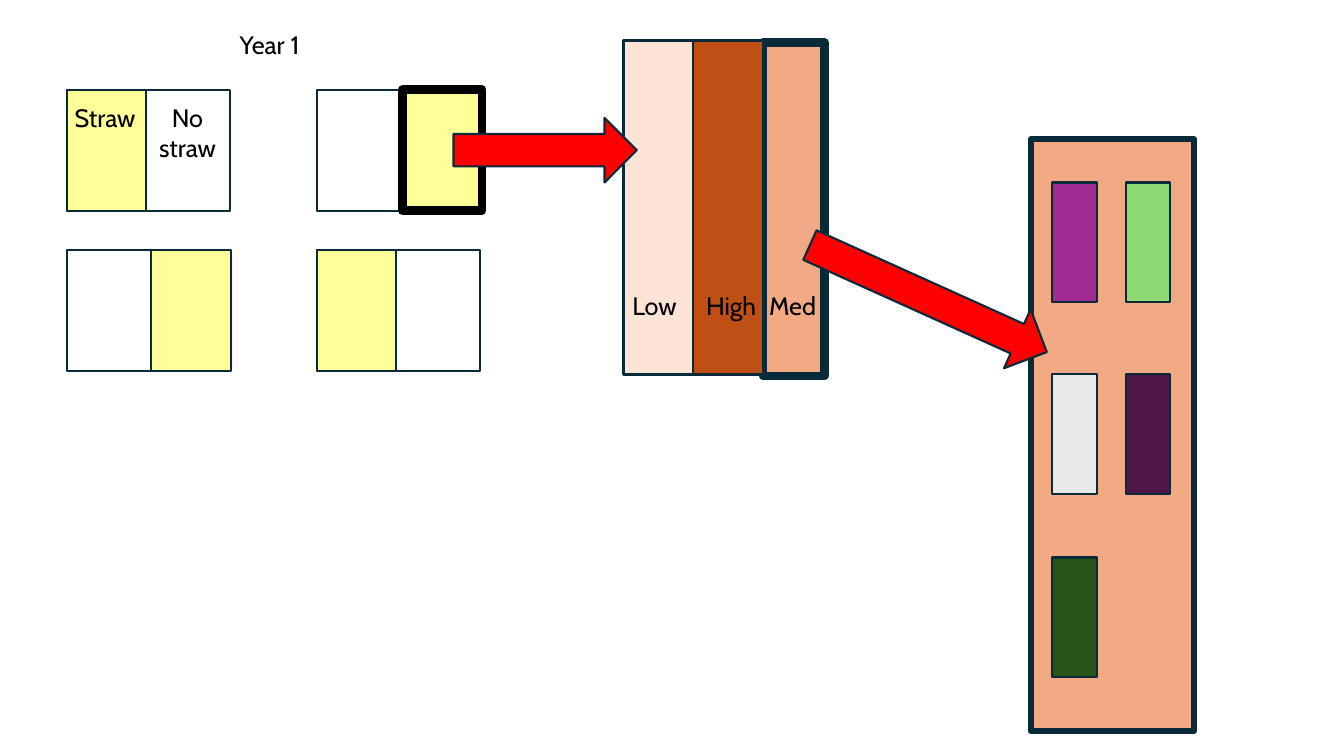
from itertools import product

from pptx import Presentation
from pptx.dml.color import RGBColor
from pptx.enum.shapes import MSO_SHAPE
from pptx.enum.text import MSO_AUTO_SIZE, PP_ALIGN
from pptx.util import Cm, Pt

RECT = MSO_SHAPE.RECTANGLE
ARROW = MSO_SHAPE.RIGHT_ARROW
CENTER = PP_ALIGN.CENTER
LEFT = PP_ALIGN.LEFT
FIT_SHAPE = MSO_AUTO_SIZE.SHAPE_TO_FIT_TEXT

COLORS = {
    "black": "000000",
    "outline": "092A39",
    "straw": "FFFF99",
    "low": "FBE3D6",
    "medium": "F2AA84",
    "high": "C04F15",
    "arrow": "FF0000",
    "purple": "A02B93",
    "light green": "8ED973",
    "grey": "E8E8E8",
    "plum": "501649",
    "dark green": "275417",
}


class Diagram:
    """Draws on one slide in a shared style; all lengths are in centimetres."""

    font = "Cabin"
    size = Pt(18)

    def __init__(self, slide):
        self.shapes = slide.shapes

    @staticmethod
    def color(name):
        return RGBColor.from_string(COLORS[name])

    def box(self, x, y, w, h, fill=None, line="outline", weight=1.5, kind=RECT):
        sp = self.shapes.add_shape(kind, Cm(x), Cm(y), Cm(w), Cm(h))
        sp.shadow.inherit = False
        if fill:
            sp.fill.solid()
            sp.fill.fore_color.rgb = self.color(fill)
        else:
            sp.fill.background()
        sp.line.color.rgb = self.color(line)
        sp.line.width = Pt(weight)
        return sp

    def arrow(self, x, y, w, h, angle=0):
        self.box(x, y, w, h, "arrow", kind=ARROW).rotation = angle

    def label(self, x, y, w, h, text, align=CENTER, wrap=False):
        tf = self.shapes.add_textbox(Cm(x), Cm(y), Cm(w), Cm(h)).text_frame
        tf.word_wrap = wrap
        tf.auto_size = FIT_SHAPE
        tf.text = text
        for p in tf.paragraphs:
            p.alignment = align
            p.font.name = self.font
            p.font.size = self.size
            p.font.color.rgb = self.color("black")


def draw_plots(d):
    """Four plots, each with straw on its left or right half."""
    plot_w, plot_h, straw_w = 4.11, 3.05, 2.01
    straw_offsets = (0, 2.16, 2.13, 0)
    for (y, x), offset in zip(product((2.26, 6.31), (1.68, 7.98)), straw_offsets):
        d.box(x, y, plot_w, plot_h)
        d.box(x + offset, y, straw_w, plot_h, "straw")
    # The plot half that is enlarged to the right
    d.box(10.14, 2.26, straw_w, plot_h, "straw", line="black", weight=6)

    d.label(5.79, 0.61, 2.18, 1.02, "Year 1", LEFT)
    d.label(1.63, 2.46, 2.08, 1.02, "Straw", LEFT)
    d.label(3.71, 2.46, 2.03, 1.8, "No\nstraw")


def draw_levels(d):
    """The three levels within one plot half."""
    x, y, strip_w, h = 15.72, 1.04, 1.75, 8.41
    d.box(19.23, 1.07, 1.55, h, "medium", weight=6)
    for i, level in enumerate(("low", "high")):
        d.box(x + i * strip_w, y, strip_w, h, level)
    d.box(x, 1.02, 5.08, h, weight=2.25)


def draw_level_labels(d):
    for x, w, text in ((15.62, 1.75, "Low"), (17.37, 2.11, "High"), (18.92, 2.11, "Med")):
        d.label(x, 7.18, w, 1.02, text, wrap=True)


def draw_subplots(d):
    """The medium strip enlarged, with its five subplots."""
    d.box(25.98, 3.51, 4.11, 14.91, "medium", weight=4.5)
    crops = ("purple", "light green", "grey", "plum", "dark green")
    for (y, x), crop in zip(product((4.6, 9.42, 14.05), (26.52, 28.37)), crops):
        d.box(x, y, 1.12, 3.02, crop)


def main():
    prs = Presentation()
    prs.slide_width, prs.slide_height = Cm(33.87), Cm(19.05)
    d = Diagram(prs.slides.add_slide(prs.slide_layouts[6]))
    draw_plots(d)
    draw_levels(d)
    d.arrow(11.43, 2.97, 4.62, 1.63)
    draw_subplots(d)
    d.arrow(20.12, 6.71, 6.55, 1.63, angle=24.3)
    draw_level_labels(d)
    prs.save("out.pptx")


if __name__ == "__main__":
    main()
